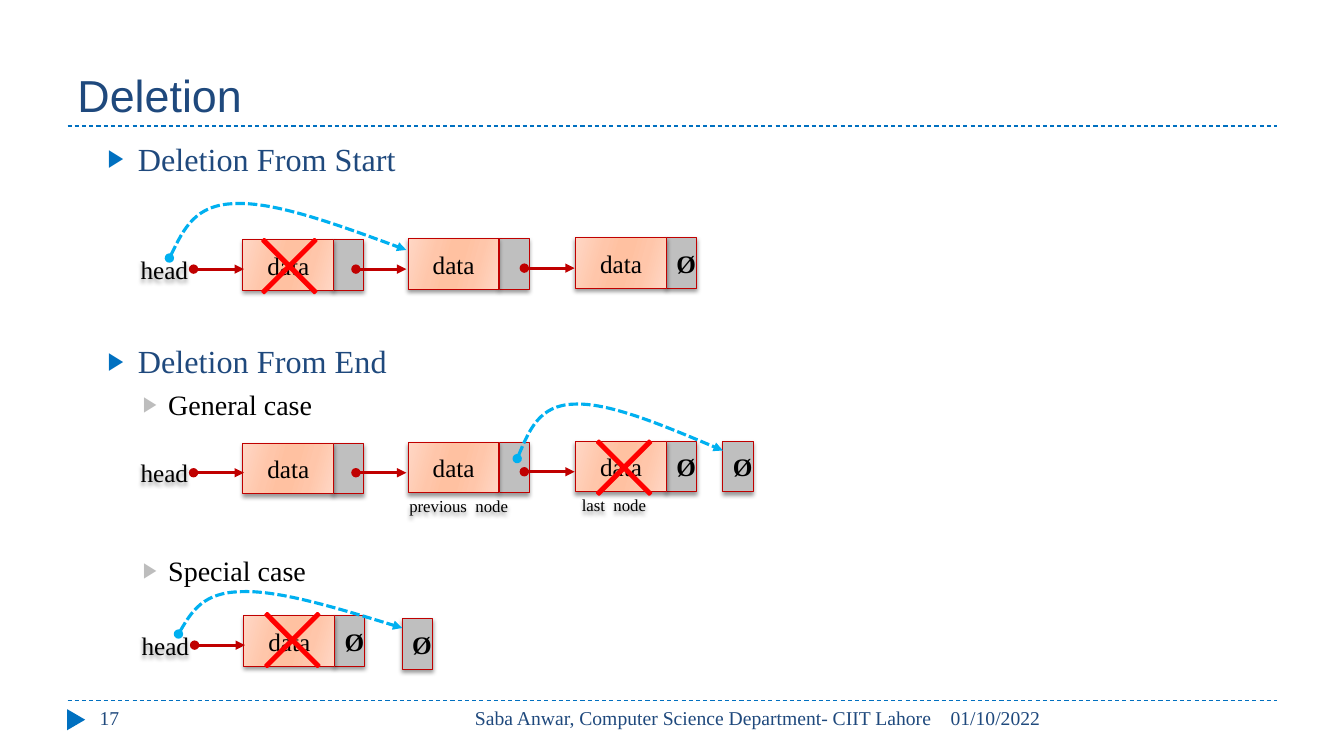
from typing import Any, NamedTuple, Optional

import pptx
import pptx.dml.color
import pptx.enum.dml
import pptx.enum.shapes
import pptx.enum.text
import pptx.oxml.ns
import pptx.util
from lxml import etree

PX = 9144  # EMU; 100 px to the inch
SERIF = "Times New Roman"
NAVY, BLUE, SKY = "1F497D", "0070C0", "00B0F0"
DARK_RED, RED, GREY, BLACK = "C00000", "FF0000", "BFBFBF", "000000"
NODE_STOPS = ((0, "FFD7C5"), (30, "FFC6AA"), (45, "FFC1A1"),
              (55, "FFC1A1"), (73, "FFC6AA"), (100, "FFD7C5"))
DATA_W, POINTER_W, NODE_H, CROSS = 90, 30, 50, 100
HEAD_OFFSET = (-113, 14)
NODE_OFFSETS = ((0, 0), (164, -1), (330, -2))
ARROW_OFFSETS = ((-49, 29), (112, 29), (279, 28))

Point = tuple[int, int]
Shape = pptx.enum.shapes.MSO_SHAPE
Align = pptx.enum.text.PP_ALIGN
Anchor = pptx.enum.text.MSO_ANCHOR
Dash = pptx.enum.dml.MSO_LINE


class Box(NamedTuple):
    x: int
    y: int
    w: int
    h: int


class Label(NamedTuple):
    text: str
    box: Box
    size: int = 14
    color: str = NAVY
    font: str = SERIF
    align: Any = Align.LEFT
    anchor: Any = Anchor.TOP
    shadow: bool = False


class Bullet(NamedTuple):
    text: str
    level: int
    before: int


class Chain(NamedTuple):
    x: int
    y: int
    nodes: int


class Curve(NamedTuple):
    start: Point
    segments: tuple[tuple[Point, Point, Point], ...]


LABELS = (
    Label("Deletion", Box(67, 17, 1200, 108), 32, font="Arial", anchor=Anchor.BOTTOM),
    Label("01/10/2022", Box(933, 695, 334, 40)),
    Label("Saba Anwar, Computer Science Department- CIIT Lahore",
          Box(423, 695, 511, 40), align=Align.RIGHT),
    Label("17", Box(89, 695, 289, 40)),
)
NODE_CAPTIONS = (("last  node", 526, 485), ("previous  node", 372, 486))
BULLETS = (
    Bullet("Deletion From Start", 1, 0),
    Bullet("Deletion From End", 1, 117),
    Bullet("General case", 2, 5),
    Bullet("Special case", 2, 95),
)
# level: left margin, hanging indent, size, text colour, bullet colour
BULLET_STYLES = {1: (60, 30, 23, NAVY, BLUE), 2: (90, 25, 20, BLACK, "BDBDBD")}
CHAINS = (Chain(241, 238, 3), Chain(241, 440, 3), Chain(242, 611, 1))
NEW_NULLS = ((717, 438), (399, 614))
CROSSES = ((237, 214), (569, 414), (240, 585))
CURVES = (
    Curve((168, 256), (((181, 230), (193, 203), (233, 202)),
                       ((272, 200), (338, 224), (403, 248)))),
    Curve((513, 455), (((524, 429), (535, 402), (569, 401)),
                       ((603, 399), (660, 423), (717, 447)))),
    Curve((177, 629), (((189, 608), (202, 588), (238, 587)),
                       ((275, 585), (337, 604), (399, 623)))),
)


def rgb(color: str) -> pptx.dml.color.RGBColor:
    return pptx.dml.color.RGBColor.from_string(color)


def add_xml(parent: Any, tag: str, **attrs: Any) -> Any:
    values = {key: str(value) for key, value in attrs.items()}
    return etree.SubElement(parent, pptx.oxml.ns.qn(tag), values)


def find_xml(sp: Any, tag: str) -> Any:
    return next(sp.element.iter(pptx.oxml.ns.qn(tag)))


def set_line(sp: Any, color: str, width: float, dash: Any = None, ends: bool = False) -> None:
    sp.line.color.rgb = rgb(color)
    sp.line.width = pptx.util.Pt(width)
    if dash is not None:
        sp.line.dash_style = dash
    if ends:
        ln = find_xml(sp, "a:ln")
        add_xml(ln, "a:headEnd", type="oval")
        add_xml(ln, "a:tailEnd", type="triangle")


def add_shadow(sp: Any) -> None:
    sp.shadow.inherit = False
    shadow = add_xml(find_xml(sp, "a:effectLst"), "a:outerShdw", blurRad=38100,
                     dist=25400, dir=5400000, rotWithShape=0)
    add_xml(add_xml(shadow, "a:srgbClr", val=BLACK), "a:alpha", val=40000)


def add_run(p: Any, text: str, size: int, color: str, font: str = SERIF,
            bold: Optional[bool] = None) -> None:
    r = p.add_run()
    r.text = text
    r.font.size, r.font.name, r.font.bold = pptx.util.Pt(size), font, bold
    r.font.color.rgb = rgb(color)


def add_label(s: Any, label: Label) -> None:
    sp = s.shapes.add_textbox(*(PX * v for v in label.box))
    tf = sp.text_frame
    tf.word_wrap, tf.vertical_anchor = True, label.anchor
    tf.paragraphs[0].alignment = label.align
    add_run(tf.paragraphs[0], label.text, label.size, label.color, label.font)
    if label.shadow:
        add_shadow(sp)


def add_bullets(s: Any) -> None:
    tf = s.shapes.add_textbox(67 * PX, 133 * PX, 1200 * PX, 540 * PX).text_frame
    tf.word_wrap, tf.margin_top = True, 5 * PX
    for i, bullet in enumerate(BULLETS):
        p = tf.add_paragraph() if i else tf.paragraphs[0]
        margin, hanging, size, color, mark = BULLET_STYLES[bullet.level]
        p.level, p.space_before = bullet.level, pptx.util.Pt(bullet.before)
        pPr = p._p.get_or_add_pPr()
        pPr.set("marL", str(margin * PX))
        pPr.set("indent", str(-hanging * PX))
        add_xml(add_xml(pPr, "a:buClr"), "a:srgbClr", val=mark)
        add_xml(pPr, "a:buSzPct", val=76000)
        add_xml(pPr, "a:buFont", typeface="Arial")
        add_xml(pPr, "a:buChar", char="▶")
        add_run(p, bullet.text, size, color)


def add_preset(s: Any, preset: Any, box: Box, color: str) -> Any:
    sp = s.shapes.add_shape(preset, *(PX * v for v in box))
    sp.shadow.inherit = False
    sp.fill.solid()
    sp.fill.fore_color.rgb = rgb(color)
    sp.line.fill.background()
    return sp


def add_cell(s: Any, box: Box, text: str, bold: bool = False) -> Any:
    sp = add_preset(s, Shape.RECTANGLE, box, GREY)
    set_line(sp, DARK_RED, 0.75)
    add_shadow(sp)
    if text:
        tf = sp.text_frame
        tf.word_wrap, tf.vertical_anchor = True, Anchor.MIDDLE
        tf.paragraphs[0].alignment = Align.CENTER
        add_run(tf.paragraphs[0], text, 18, BLACK, bold=bold)
    return sp


def add_node(s: Any, x: int, y: int, last: bool) -> None:
    add_cell(s, Box(x + DATA_W, y, POINTER_W, NODE_H), "Ø" if last else "", True)
    sp = add_cell(s, Box(x, y, DATA_W, NODE_H), "data")
    sp.fill.gradient()
    sp.fill.gradient_angle = 344
    stops = find_xml(sp, "a:gsLst")
    for stop in list(stops):
        stops.remove(stop)
    for percent, color in NODE_STOPS:
        add_xml(add_xml(stops, "a:gs", pos=percent * 1000), "a:srgbClr", val=color)


def add_straight(s: Any, start: Point, end: Point) -> Any:
    line = pptx.enum.shapes.MSO_CONNECTOR.STRAIGHT
    sp = s.shapes.add_connector(line, *(PX * v for v in start + end))
    add_xml(sp.element.spPr, "a:effectLst")
    return sp


def add_chain(s: Any, chain: Chain) -> None:
    for i, (dx, dy) in enumerate(NODE_OFFSETS[:chain.nodes], 1):
        add_node(s, chain.x + dx, chain.y + dy, i == chain.nodes)
    for dx, dy in ARROW_OFFSETS[:chain.nodes]:
        x, y = chain.x + dx, chain.y + dy
        set_line(add_straight(s, (x, y), (x + 50, y)), DARK_RED, 2.25, ends=True)
    dx, dy = HEAD_OFFSET
    add_label(s, Label("head", Box(chain.x + dx, chain.y + dy, 70, 30), 18, BLACK,
                       align=Align.CENTER, anchor=Anchor.MIDDLE, shadow=True))


def add_curve(s: Any, curve: Curve) -> None:
    """Draw the anchors as a freeform, then bend each segment into a cubic."""
    anchors = [segment[-1] for segment in curve.segments]
    builder = s.shapes.build_freeform(*curve.start, scale=float(PX))
    builder.add_line_segments(anchors, close=False)
    sp = builder.convert_to_shape()
    sp.shadow.inherit = False
    sp.fill.background()
    set_line(sp, SKY, 2.25, Dash.SQUARE_DOT, ends=True)
    left, top = (min(values) for values in zip(curve.start, *anchors))
    straights = list(sp.element.iter(pptx.oxml.ns.qn("a:lnTo")))
    for straight, segment in zip(straights, curve.segments):
        bend = add_xml(straight.getparent(), "a:cubicBezTo")
        for x, y in segment:
            add_xml(bend, "a:pt", x=x - left, y=y - top)
        straight.getparent().remove(straight)


def main() -> None:
    prs = pptx.Presentation()
    prs.slide_width, prs.slide_height = 1333 * PX, 750 * PX
    s = prs.slides.add_slide(prs.slide_layouts[6])
    for y in (695, 125):
        set_line(add_straight(s, (67, y), (1267, y)), BLUE, 0.75, Dash.DASH)
    add_preset(s, Shape.ISOSCELES_TRIANGLE, Box(65, 705, 21, 18), BLUE).rotation = 90
    for label in LABELS:
        add_label(s, label)
    add_bullets(s)
    for chain in CHAINS:
        add_chain(s, chain)
    for x, y in NEW_NULLS:
        add_cell(s, Box(x, y, POINTER_W, NODE_H), "Ø", True)
    for curve in CURVES:
        add_curve(s, curve)
    for x, y in CROSSES:
        sp = add_preset(s, Shape.MATH_MULTIPLY, Box(x, y, CROSS, CROSS), RED)
        sp.adjustments[0] = 0.029
        set_line(sp, RED, 1.5)
    for text, x, y in NODE_CAPTIONS:
        add_label(s, Label(text, Box(x, y, 166, 31), 12, BLACK, align=Align.CENTER,
                           anchor=Anchor.MIDDLE, shadow=True))
    prs.save("out.pptx")


if __name__ == "__main__":
    main()
